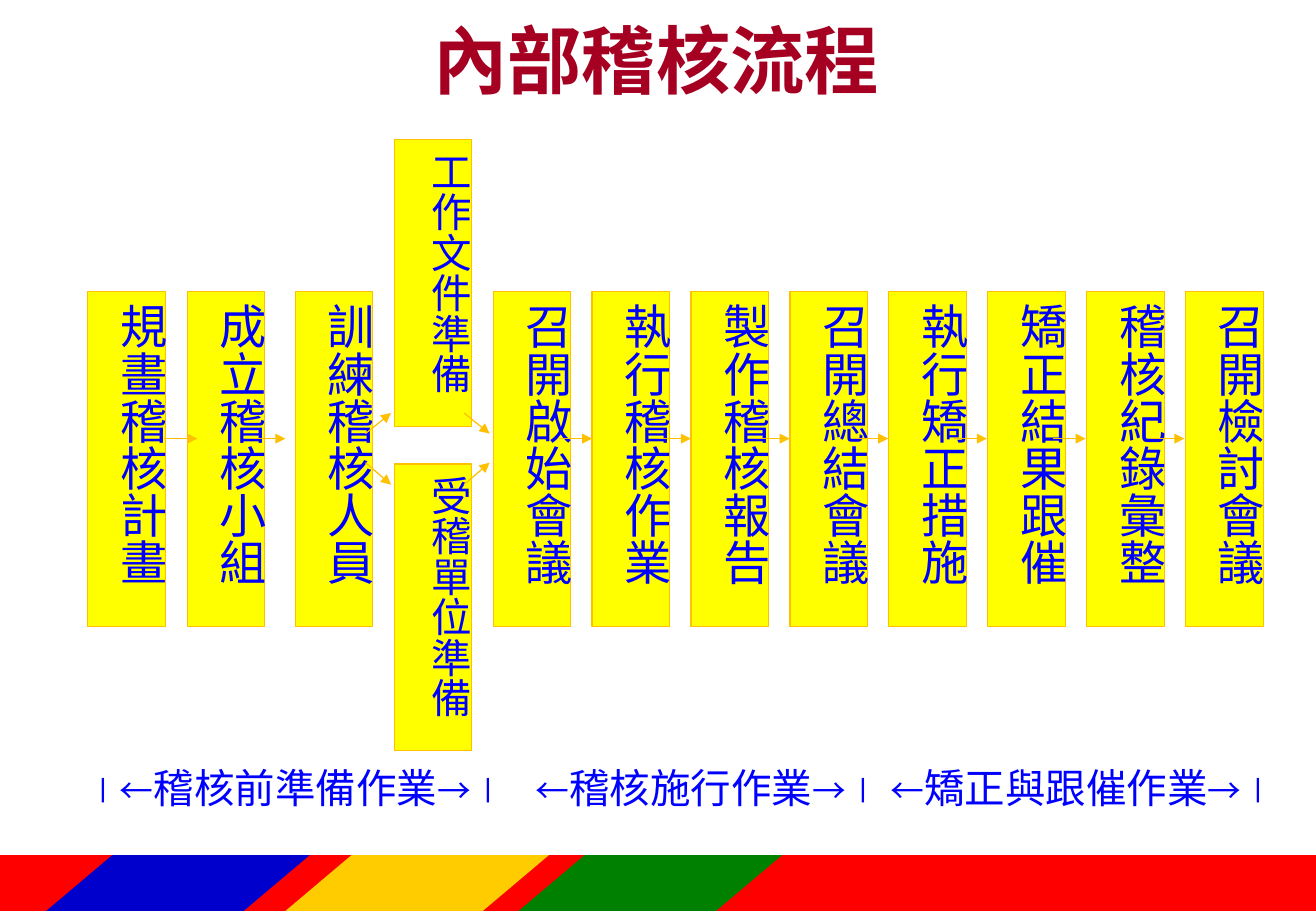
from dataclasses import dataclass

from lxml import etree
from pptx import Presentation
from pptx.dml.color import RGBColor
from pptx.enum.shapes import MSO_CONNECTOR, MSO_SHAPE
from pptx.enum.text import MSO_ANCHOR, PP_ALIGN
from pptx.oxml.ns import qn
from pptx.util import Pt

RECTANGLE = MSO_SHAPE.RECTANGLE
PARALLELOGRAM = MSO_SHAPE.PARALLELOGRAM
STRAIGHT = MSO_CONNECTOR.STRAIGHT
MIDDLE, TOP = MSO_ANCHOR.MIDDLE, MSO_ANCHOR.TOP
CENTER, LEFT, JUSTIFY = PP_ALIGN.CENTER, PP_ALIGN.LEFT, PP_ALIGN.JUSTIFY


@dataclass(frozen=True)
class Theme:
    title: str = "A50021"
    text: str = "0000FF"
    box: str = "FFFF00"
    line: str = "FFC000"
    red: str = "FF0000"
    amber: str = "FFCC00"
    green: str = "008000"
    blue: str = "0000CC"
    title_font: str = "Arial"
    step_font: str = "Times New Roman"
    cjk_font: str = "Noto Sans CJK SC"
    title_size: float = 44
    step_size: float = 28
    phase_size: float = 24
    mark_size: float = 20
    line_width: float = 0.75


THEME = Theme()

STEP_TOP, STEP_WIDTH, STEP_HEIGHT = 172.8, 46, 198.7
EARLY_STEPS = [(52, "規畫稽核計畫"), (111, "成立稽核小組"), (175, "訓練稽核人員")]
LATER_STEPS = ["召開啟始會議", "執行稽核作業", "製作稽核報告", "召開總結會議",
               "執行矯正措施", "矯正結果跟催", "稽核紀錄彙整", "召開檢討會議"]
LATER_LEFT, LATER_PITCH = 292.3, 58.63
PREPARATIONS = [(275, "受稽單位準備"), (82.8, "工作文件準備")]
ARROW_Y, ARROW_LENGTH = 260, 19.6
BRANCH_ARROWS = [(216.7, 257, 231.8, 244.8), (216.7, 274.3, 231.8, 287.3),
                 (275, 244.8, 290.2, 257), (275, 287.3, 290.2, 274.3)]
PHASES = [(44, 286, "∣←", "稽核前準備作業"),
          (310.3, 279.4, "←", "稽核施行作業"),
          (520.6, 247.7, "←", "矯正與跟催作業")]
STRIPES = [(169.2, THEME.amber), (307.4, THEME.green), (27.4, THEME.blue)]
BAR_TOP, BAR_HEIGHT = 506.9, 33.1


def rgb(value):
    return RGBColor.from_string(value)


def add_run(paragraph, text, size, font_name, color, bold=False):
    run = paragraph.add_run()
    run.text = text
    font = run.font
    font.size, font.name, font.bold = Pt(size), font_name, bold
    font.color.rgb = rgb(color)
    east_asian = etree.SubElement(font._element, qn("a:ea"))
    east_asian.set("typeface", THEME.cjk_font)


def add_block(slide, kind, left, top, width, height, fill):
    block = slide.shapes.add_shape(kind, Pt(left), Pt(top), Pt(width), Pt(height))
    block.shadow.inherit = False
    block.fill.solid()
    block.fill.fore_color.rgb = rgb(fill)
    block.line.fill.background()
    return block


def add_step(slide, left, top, width, height, text, size):
    """Add a yellow process box with vertical East Asian text."""
    step = add_block(slide, RECTANGLE, left, top, width, height, THEME.box)
    step.line.color.rgb = rgb(THEME.line)
    step.line.width = Pt(THEME.line_width)
    frame = step.text_frame
    frame.vertical_anchor = TOP
    frame._txBody.bodyPr.set("vert", "eaVert")
    paragraph = frame.paragraphs[0]
    paragraph.alignment = JUSTIFY
    paragraph.line_spacing = 0.8
    add_run(paragraph, text, size, THEME.step_font, THEME.text)


def add_arrow(slide, x1, y1, x2, y2):
    arrow = slide.shapes.add_connector(STRAIGHT, Pt(x1), Pt(y1), Pt(x2), Pt(y2))
    arrow.line.color.rgb = rgb(THEME.line)
    arrow.line.width = Pt(THEME.line_width)
    head = etree.SubElement(arrow.line._get_or_add_ln(), qn("a:tailEnd"))
    head.set("type", "triangle")
    etree.SubElement(arrow._element.spPr, qn("a:effectLst"))


def add_phase(slide, left, width, opening, name):
    """Add a phase caption between its range marks."""
    box = slide.shapes.add_textbox(Pt(left), Pt(448.6), Pt(width), Pt(42.5))
    box.text_frame.word_wrap = True
    paragraph = box.text_frame.paragraphs[0]
    paragraph.alignment = LEFT
    for text, size in [(opening, THEME.mark_size), (name, THEME.phase_size),
                       ("→∣", THEME.mark_size)]:
        add_run(paragraph, text, size, THEME.cjk_font, THEME.text)


def add_title(slide, text):
    title = slide.shapes.title
    title.left, title.top, title.width, title.height = Pt(38), Pt(9.4), Pt(702), Pt(51)
    title.text_frame.vertical_anchor = MIDDLE
    paragraph = title.text_frame.paragraphs[0]
    paragraph.alignment = CENTER
    add_run(paragraph, text, THEME.title_size, THEME.title_font, THEME.title, bold=True)


def add_footer_bar(slide):
    add_block(slide, RECTANGLE, -1.2, BAR_TOP, 781.2, BAR_HEIGHT, THEME.red)
    for left, color in STRIPES:
        stripe = add_block(slide, PARALLELOGRAM, left, BAR_TOP, 156.2, BAR_HEIGHT, color)
        stripe.adjustments[0] = 1.184


def main():
    presentation = Presentation()
    presentation.slide_width, presentation.slide_height = Pt(780), Pt(540)
    slide = presentation.slides.add_slide(presentation.slide_layouts[5])

    add_footer_bar(slide)
    add_title(slide, "內部稽核流程")

    later_steps = [(LATER_LEFT + i * LATER_PITCH, text)
                   for i, text in enumerate(LATER_STEPS)]
    for left, text in EARLY_STEPS + later_steps:
        add_step(slide, left, STEP_TOP, STEP_WIDTH, STEP_HEIGHT, text, THEME.step_size)
    for top, text in PREPARATIONS:
        add_step(slide, 234, top, 45.5, 170, text, THEME.phase_size)

    later_arrows = [331.4 + i * 58.5 for i in range(len(LATER_STEPS) - 1)]
    for x in [97.4, 149.6] + later_arrows:
        add_arrow(slide, x, ARROW_Y, x + ARROW_LENGTH, ARROW_Y)
    for ends in BRANCH_ARROWS:
        add_arrow(slide, *ends)

    for phase in PHASES:
        add_phase(slide, *phase)

    presentation.save("out.pptx")


if __name__ == "__main__":
    main()
